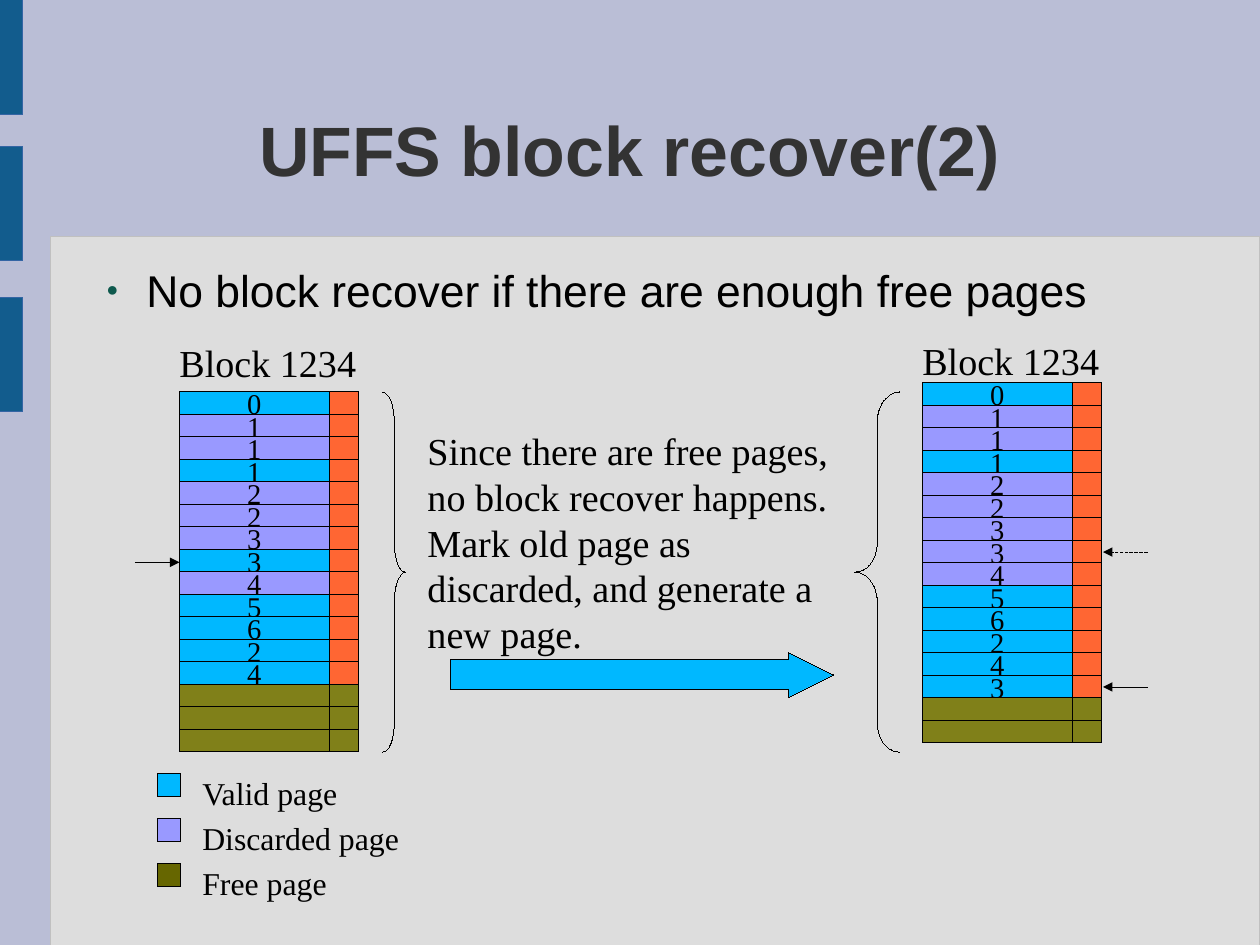
"""Builds the slide that explains when UFFS needs no block recovery."""
from lxml import etree
from pptx import Presentation
from pptx.dml.color import RGBColor
from pptx.enum import dml, shapes, text
from pptx.oxml import ns
from pptx.util import Inches, Pt

COLORS = {
    "background": "BABED6", "panel": "DDDDDD", "panel_line": "C0C0C0",
    "bar": "125C8D", "bar_line": "3465A4", "title": "333333",
    "bullet": "0E594D", "black": "000000", "valid": "00B8FF",
    "discarded": "9999FF", "free": "808019", "free_key": "666600",
    "spare": "FF6633",
}
SERIF = "Times New Roman"
CM_PER_INCH = 2.54
ROW = 0.5 / CM_PER_INCH
PAGE_WIDTH = 1.31
SPARE_WIDTH = 0.26
HAIRLINE = Pt(0.01)

presentation = Presentation()
presentation.slide_width = Inches(28 / CM_PER_INCH)
presentation.slide_height = Inches(21 / CM_PER_INCH)
slide = presentation.slides.add_slide(presentation.slide_layouts[5])
slide.background.fill.solid()
slide.background.fill.fore_color.rgb = RGBColor.from_string(COLORS["background"])


def add_box(kind, left, top, width, height, fill=None, line="black"):
    shape = slide.shapes.add_shape(
        kind, Inches(left), Inches(top), Inches(width), Inches(height))
    shape.shadow.inherit = False
    if fill:
        shape.fill.solid()
        shape.fill.fore_color.rgb = RGBColor.from_string(COLORS[fill])
    else:
        shape.fill.background()
    shape.line.color.rgb = RGBColor.from_string(COLORS[line])
    shape.line.width = HAIRLINE
    return shape


def write(shape, content, size, font=SERIF, color="black"):
    frame = shape.text_frame
    frame.margin_left = frame.margin_right = 0
    frame.margin_top = frame.margin_bottom = 0
    frame.word_wrap = True
    frame.text = content
    for paragraph in frame.paragraphs:
        for run in paragraph.runs:
            run.font.size = Pt(size)
            run.font.name = font
            run.font.color.rgb = RGBColor.from_string(COLORS[color])
    return frame


RECTANGLE = shapes.MSO_SHAPE.RECTANGLE
add_box(RECTANGLE, 0.44, 2.07, 10.58, 6.2, "panel", "panel_line")
for top in (0, 1.28, 2.6):
    add_box(RECTANGLE, 0, top, 0.2, 1, "bar", "bar_line")

title = slide.shapes.title
title.left, title.top = Inches(0.81), Inches(0.61)
title.width, title.height = Inches(9.41), Inches(1.38)
title_frame = write(title, "UFFS block recover(2)", 44, "Arial", "title")
title_frame.vertical_anchor = text.MSO_ANCHOR.MIDDLE
title_frame.paragraphs[0].alignment = text.PP_ALIGN.CENTER
title_frame.paragraphs[0].runs[0].font.bold = True

statement = slide.shapes.add_textbox(
    Inches(0.81), Inches(2.3), Inches(9.41), Inches(0.46))
statement_frame = write(
    statement, "No block recover if there are enough free pages", 28, "Arial")
properties = statement_frame.paragraphs[0]._p.get_or_add_pPr()
properties.set("marL", str(Inches(0.47)))
properties.set("indent", str(Inches(-0.35)))
bullet_color = etree.SubElement(properties, ns.qn("a:buClr"))
etree.SubElement(bullet_color, ns.qn("a:srgbClr"), val=COLORS["bullet"])
etree.SubElement(properties, ns.qn("a:buSzPct"), val="45000")
etree.SubElement(properties, ns.qn("a:buFont"), typeface="Arial")
etree.SubElement(properties, ns.qn("a:buChar"), char="●")

PAGE_STATES = {"V": "valid", "D": "discarded", "F": "free"}
blocks = [
    (1.57, 3.43, "0111223345624", "VDDVDDDVDVVVVFFF"),
    (8.07, 3.35, "01112233456243", "VDDVDDDDDVVVVVFF"),
]
for left, block_top, numbers, states in blocks:
    for row, state in enumerate(states):
        top = block_top + row * ROW
        page = add_box(RECTANGLE, left, top, PAGE_WIDTH, ROW, PAGE_STATES[state])
        if row < len(numbers):
            page_frame = write(page, numbers[row], 18)
            page_frame.vertical_anchor = text.MSO_ANCHOR.MIDDLE
            page_frame.paragraphs[0].alignment = text.PP_ALIGN.CENTER
        add_box(RECTANGLE, left + PAGE_WIDTH, top, SPARE_WIDTH, ROW,
                "free" if state == "F" else "spare")

for row, (label, color) in enumerate([
        ("Valid page", "valid"), ("Discarded page", "discarded"),
        ("Free page", "free_key")]):
    top = 6.77 + row * 2 * ROW
    add_box(RECTANGLE, 1.38, top, ROW, ROW, color)
    key = slide.shapes.add_textbox(Inches(1.77), Inches(top), Inches(2.36), Inches(0.38))
    write(key, label, 20)

step_arrow = add_box(shapes.MSO_SHAPE.RIGHT_ARROW, 3.94, 5.71, 3.35, 0.39, "valid")
step_arrow.adjustments[0] = 0.67
step_arrow.adjustments[1] = 1

for kind, left, width in (
        (shapes.MSO_SHAPE.RIGHT_BRACE, 3.35, 0.2),
        (shapes.MSO_SHAPE.LEFT_BRACE, 7.48, 0.39)):
    brace = add_box(kind, left, 3.43, width, 3.15)
    brace.adjustments[0] = 0.26 / width

for left, top, width, height, content in (
        (3.74, 3.74, 3.54, 2.73,
         "Since there are free pages, no block recover happens.\n"
         "Mark old page as discarded, and generate a new page."),
        (1.57, 2.97, 1.77, 0.46, "Block 1234"),
        (8.07, 2.95, 1.77, 0.46, "Block 1234")):
    label = slide.shapes.add_textbox(
        Inches(left), Inches(top), Inches(width), Inches(height))
    write(label, content, 24)

for start, end, level, dashed in (
        (1.18, 1.57, 4.92, False),
        (10.04, 9.65, 6.01, False),
        (10.04, 9.65, 4.83, True)):
    pointer = slide.shapes.add_connector(
        shapes.MSO_CONNECTOR.STRAIGHT,
        Inches(start), Inches(level), Inches(end), Inches(level))
    pointer.line.color.rgb = RGBColor.from_string(COLORS["black"])
    pointer.line.width = HAIRLINE
    if dashed:
        pointer.line.dash_style = dml.MSO_LINE.SQUARE_DOT
    etree.SubElement(pointer.line._get_or_add_ln(), ns.qn("a:tailEnd"), type="triangle")
    etree.SubElement(pointer._element.spPr, ns.qn("a:effectLst"))

presentation.save("out.pptx")
